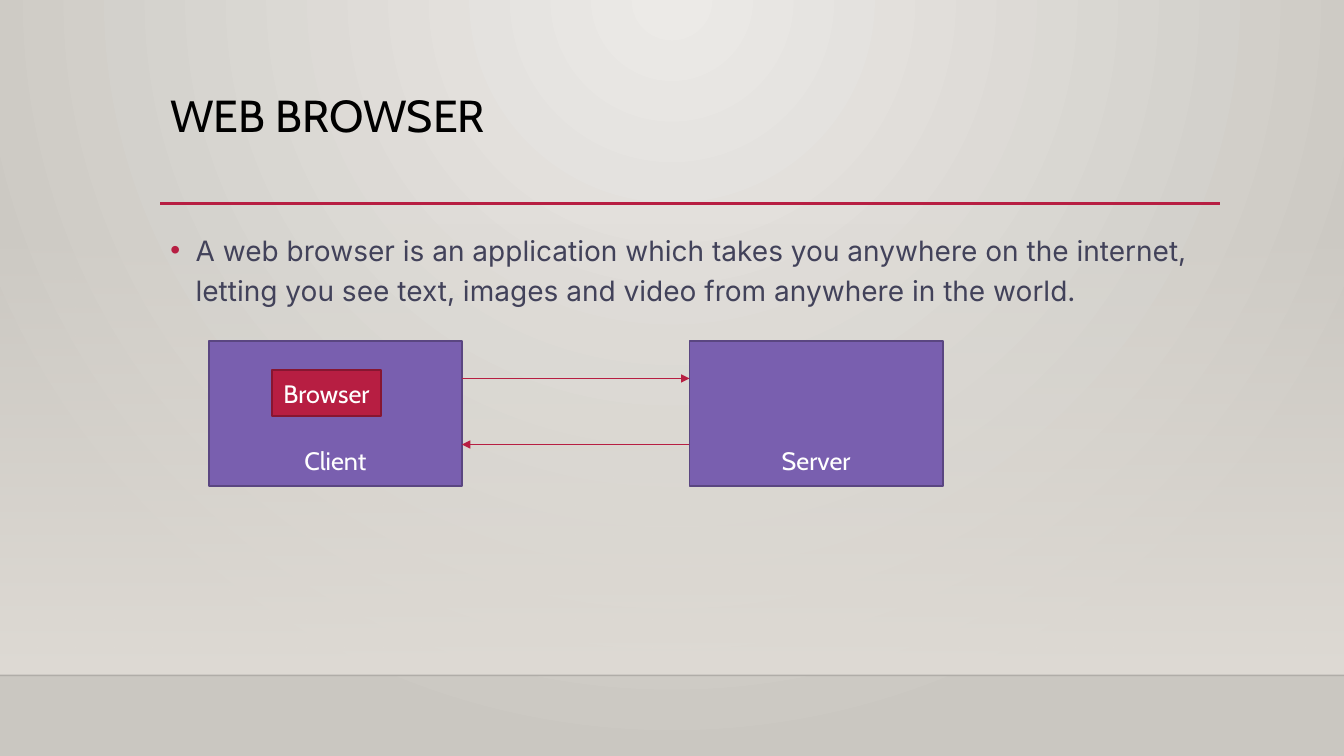
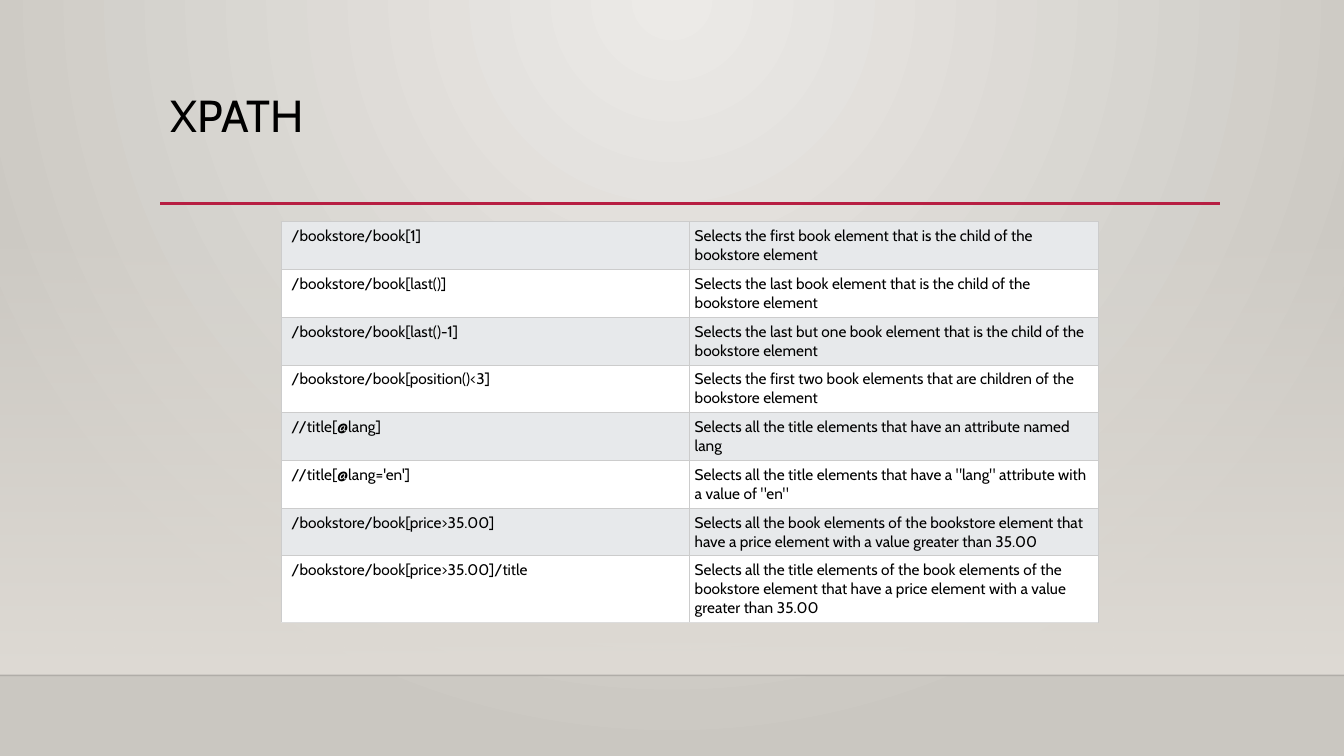
from pptx import Presentation
from pptx import util as u
from pptx.dml.color import RGBColor
from pptx.enum import shapes, text
from pptx.oxml import parse_xml
from pptx.oxml.ns import nsdecls

WIDTH, HEIGHT = 13.33, 7.5
HEADING_FONT, BODY_FONT = "Cabin", "Inter"
RED, DARK_RED = "B71E42", "871631"
PURPLE, DARK_PURPLE = "795FAF", "5A4681"
BLACK, WHITE, SLATE = "000000", "FFFFFF", "42425A"
SAND, LIGHT_STONE, STONE = "DFDBD5", "ECEAE7", "CAC7C1"
STRIPE, GRID, GRID_END = "E7E9EB", "CCCCCC", "DDDDDD"

# Boxes are left, top, width, height in inches
TITLE_BOX = (1.59, 0.88, 10.5, 1.15)
BODY_BOX = (1.59, 2.2, 10.5, 3.77)
DIAGRAM_BOX = (2.07, 3.38, 7.28, 1.44)
TABLE_BOX = (2.79, 2.2, 8.1, 3.95)
RULE_TOP, FLOOR_TOP, GLOW_TOP = 2.02, 6.7, 2.21

XPATH_ROWS = [
    ("/bookstore/book[1]",
     "Selects the first book element that is the child of the bookstore element"),
    ("/bookstore/book[last()]",
     "Selects the last book element that is the child of the bookstore element"),
    ("/bookstore/book[last()-1]",
     "Selects the last but one book element that is the child of the bookstore element"),
    ("/bookstore/book[position()<3]",
     "Selects the first two book elements that are children of the bookstore element"),
    ("//title[@lang]",
     "Selects all the title elements that have an attribute named lang"),
    ("//title[@lang='en']",
     'Selects all the title elements that have a "lang" attribute with a value of "en"'),
    ("/bookstore/book[price>35.00]",
     "Selects all the book elements of the bookstore element that have a price element "
     "with a value greater than 35.00"),
    ("/bookstore/book[price>35.00]/title",
     "Selects all the title elements of the book elements of the bookstore element "
     "that have a price element with a value greater than 35.00"),
]


def color(value):
    return RGBColor.from_string(value)


def inches(values):
    return [u.Inches(value) for value in values]


def xml(tag, attributes="", inner=""):
    return parse_xml(f"<a:{tag} {nsdecls('a')} {attributes}>{inner}</a:{tag}>")


def part_of(box, left, top, width, height):
    """Turn shares of a box into a box in inches."""
    return (box[0] + left * box[2], box[1] + top * box[3],
            width * box[2], height * box[3])


def set_gradient(fill, element, stops, direction):
    """Fill with (position, colour, opacity) stops along a direction element."""
    fill.gradient()
    gradient = element.xpath(".//a:gradFill")[0]
    for child in list(gradient):
        gradient.remove(child)
    inner = "".join(
        f'<a:gs pos="{place * 1000}"><a:srgbClr val="{value}">'
        f'<a:alpha val="{opacity * 1000}"/></a:srgbClr></a:gs>'
        for place, value, opacity in stops)
    gradient.append(xml("gsLst", inner=inner))
    gradient.append(direction)


def add_span(para, words, size, font, value):
    span = para.add_run()
    span.text = words
    span.font.size = u.Pt(size)
    span.font.name = font
    span.font.color.rgb = color(value)


def add_line(page, start, end, value, weight, arrow=False):
    line = page.shapes.add_connector(
        shapes.MSO_CONNECTOR.STRAIGHT, *inches((*start, *end)))
    line.line.color.rgb = color(value)
    line.line.width = u.Pt(weight)
    if arrow:
        line.line._get_or_add_ln().append(xml("tailEnd", 'type="triangle"'))
    line._element.spPr.append(xml("effectLst"))
    return line


def add_block(page, box, label, fill, outline, anchor):
    block = page.shapes.add_shape(shapes.MSO_SHAPE.RECTANGLE, *inches(box))
    block.shadow.inherit = False
    block.fill.solid()
    block.fill.fore_color.rgb = color(fill)
    block.line.color.rgb = color(outline)
    block.line.width = u.Pt(1.25)
    frame = block.text_frame
    frame.vertical_anchor = anchor
    frame.margin_bottom = u.Inches(0.1 if anchor == text.MSO_ANCHOR.BOTTOM else 0.05)
    para = frame.paragraphs[0]
    para.alignment = text.PP_ALIGN.CENTER
    add_span(para, label, 18, HEADING_FONT, WHITE)


def decorate_master(deck, page):
    """Give the master its background, glow and rules, drawn on a page first."""
    master = deck.slide_master
    set_gradient(
        master.background.fill, master._element,
        [(0, LIGHT_STONE, 100), (100, STONE, 100)],
        xml("path", 'path="circle"',
            '<a:fillToRect l="43000" t="0" r="43000" b="100000"/>'))

    glow = page.shapes.add_shape(
        shapes.MSO_SHAPE.RECTANGLE,
        *inches((0, GLOW_TOP, WIDTH, FLOOR_TOP - GLOW_TOP)))
    glow.shadow.inherit = False
    glow.line.fill.background()
    set_gradient(glow.fill, glow._element, [(0, SAND, 0), (100, SAND, 100)],
                 xml("lin", 'ang="5400000" scaled="0"'))

    floor = add_line(page, (0, FLOOR_TOP), (WIDTH, FLOOR_TOP), BLACK, 1)
    floor._element.xpath(".//a:ln//a:srgbClr")[0].append(xml("alpha", 'val="20000"'))
    rule = add_line(page, (1.59, RULE_TOP), (12.1, RULE_TOP), RED, 2.5)

    tree = master.shapes._spTree
    for index, part in enumerate((glow, floor, rule)):
        part._element.xpath(".//p:cNvPr")[0].set("id", str(100 + index))
        tree.insert(2 + index, part._element)


def place_text(holder, box):
    """Move a placeholder and return its formatted first paragraph."""
    holder.left, holder.top, holder.width, holder.height = inches(box)
    frame = holder.text_frame
    frame.word_wrap = True
    frame.auto_size = text.MSO_AUTO_SIZE.NONE
    frame.vertical_anchor = text.MSO_ANCHOR.TOP
    para = frame.paragraphs[0]
    para.alignment = text.PP_ALIGN.LEFT
    return para


def add_title(page, words):
    para = place_text(page.shapes.title, TITLE_BOX)
    para.line_spacing = 0.9
    add_span(para, words, 32, HEADING_FONT, BLACK)


def add_bullet(page, box, words):
    para = place_text(page.placeholders[1], box)
    para.line_spacing = 1.2
    para.space_before = u.Pt(10)
    properties = para._p.get_or_add_pPr()
    properties.set("marL", str(u.Inches(0.25)))
    properties.set("indent", str(u.Inches(-0.25)))
    properties.append(xml("buClr", inner=f'<a:srgbClr val="{RED}"/>'))
    properties.append(xml("buChar", 'char="•"'))
    add_span(para, words, 20, BODY_FONT, SLATE)


def add_diagram(page, box):
    """Client and server blocks with a request and a response arrow."""
    share = 0.345
    client = part_of(box, 0, 0, share, 1)
    server = part_of(box, 1 - share, 0, share, 1)
    for label, block in (("Client", client), ("Server", server)):
        add_block(page, block, label, PURPLE, DARK_PURPLE, text.MSO_ANCHOR.BOTTOM)

    client_edge, server_edge = client[0] + client[2], server[0]
    request, response = (box[1] + row * box[3] for row in (0.26, 0.715))
    add_line(page, (server_edge, response), (client_edge, response), RED, 0.75, True)
    add_line(page, (client_edge, request), (server_edge, request), RED, 0.75, True)

    add_block(page, part_of(client, 0.25, 0.2, 0.43, 0.32), "Browser",
              RED, DARK_RED, text.MSO_ANCHOR.MIDDLE)


def format_cell(cell, words, left_margin, fill, bottom_line):
    cell.margin_left = u.Inches(left_margin)
    cell.margin_right = cell.margin_top = cell.margin_bottom = u.Inches(0.05)
    properties = cell._tc.get_or_add_tcPr()
    for side in "LRTB":
        value = bottom_line if side == "B" else GRID
        properties.append(xml(
            f"ln{side}", f'w="{u.Pt(0.75)}"',
            f'<a:solidFill><a:srgbClr val="{value}"/></a:solidFill>'))
    cell.fill.solid()
    cell.fill.fore_color.rgb = color(fill)
    add_span(cell.text_frame.paragraphs[0], words, 11, HEADING_FONT, BLACK)


def add_grid(page, box, rows):
    """Two equal columns of striped rows; the last row is taller."""
    table = page.shapes.add_table(len(rows), 2, *inches(box)).table
    table.first_row = table.horz_banding = False
    last = len(rows) - 1
    for column in table.columns:
        column.width = u.Inches(box[2] / 2)
    for index, row in enumerate(rows):
        table.rows[index].height = u.Inches(0.66 if index == last else 0.47)
        for column, words in enumerate(row):
            format_cell(table.cell(index, column), words,
                        0.05 if column else 0.1,
                        WHITE if index % 2 else STRIPE,
                        GRID_END if index == last else GRID)


def build_browser_page(deck):
    page = deck.slides.add_slide(deck.slide_layouts[1])
    add_title(page, "WEB BROWSER")
    add_bullet(page, BODY_BOX,
               "A web browser is an application which takes you anywhere on the "
               "internet, letting you see text, images and video from anywhere "
               "in the world.")
    add_diagram(page, DIAGRAM_BOX)
    return page


def build_xpath_page(deck):
    page = deck.slides.add_slide(deck.slide_layouts[5])
    add_title(page, "XPATH")
    add_grid(page, TABLE_BOX, XPATH_ROWS)


def main():
    deck = Presentation()
    deck.slide_width, deck.slide_height = inches((WIDTH, HEIGHT))
    decorate_master(deck, build_browser_page(deck))
    build_xpath_page(deck)
    deck.save("out.pptx")


if __name__ == "__main__":
    main()
